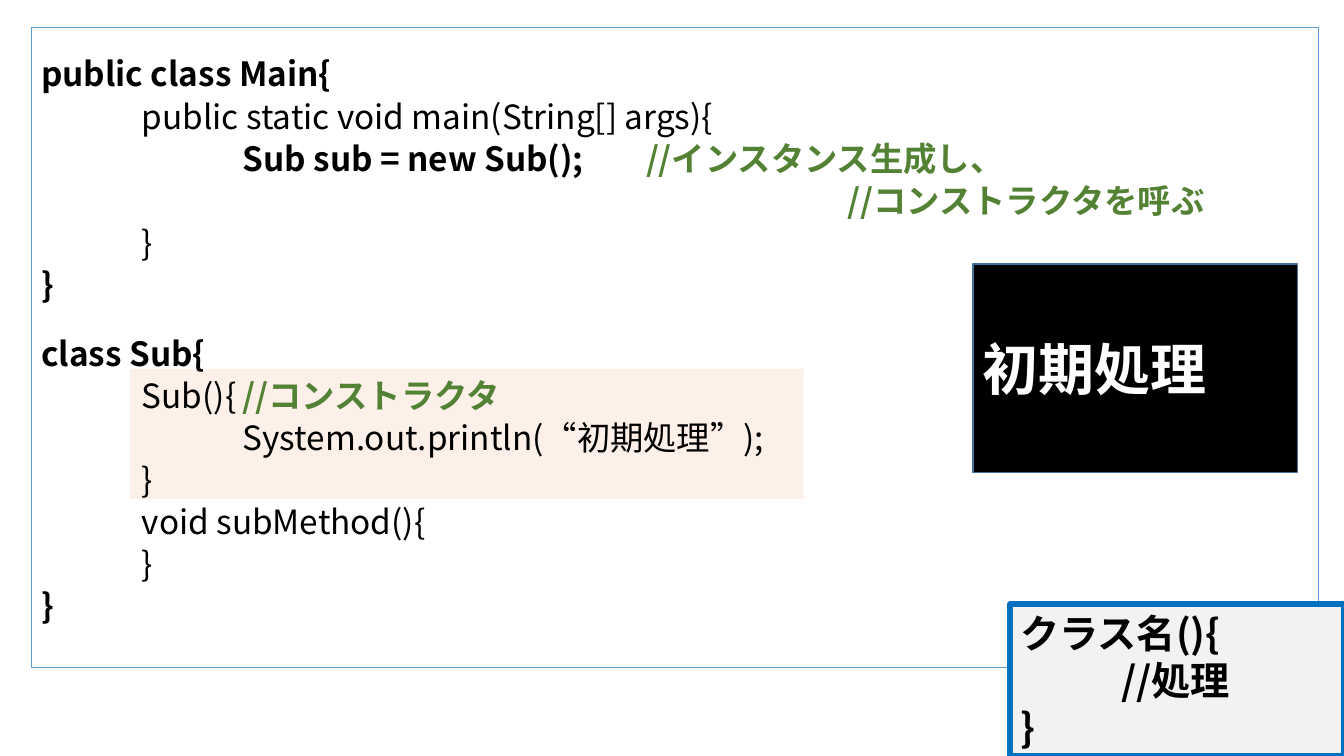
"""Build a slide that explains a Java constructor with sample code and its output."""
from dataclasses import dataclass

from lxml.etree import SubElement
from pptx import Presentation
from pptx.dml.color import RGBColor
from pptx.enum.shapes import MSO_SHAPE
from pptx.enum.text import MSO_ANCHOR, PP_ALIGN
from pptx.oxml.ns import qn
from pptx.slide import Slide
from pptx.util import Inches, Pt

COLORS = {
    "highlight": "FBE5D6",
    "frame": "5B9BD5",
    "code": "000000",
    "comment": "548235",
    "console": "000000",
    "console_edge": "43739E",
    "output": "FFFFFF",
    "syntax": "F2F2F2",
    "syntax_edge": "0070C0",
}


def write(paragraph, text, size, font, color="code", bold=False, east_asian=True):
    """Append formatted text to a paragraph."""
    run = paragraph.add_run()
    run.text = text
    run.font.size = Pt(size)
    run.font.bold = bold
    run.font.name = font
    run.font.color.rgb = RGBColor.from_string(COLORS[color])
    if east_asian:
        SubElement(run.font._element, qn("a:ea"), typeface=font)


@dataclass
class Composer:
    """Hold the style and the current slide."""

    slide: Slide
    font: str = "Noto Sans CJK JP"
    tab_count: int = 8

    def box(self, left, top, width, height, fill=None, alpha=None, edge=None, edge_width=1):
        """Draw a rectangle and return it."""
        area = [Inches(length) for length in (left, top, width, height)]
        panel = self.slide.shapes.add_shape(MSO_SHAPE.RECTANGLE, *area)
        panel.shadow.inherit = False
        if fill:
            panel.fill.solid()
            panel.fill.fore_color.rgb = RGBColor.from_string(COLORS[fill])
        else:
            panel.fill.background()
        if alpha:
            tint = panel.fill._xPr.find(".//" + qn("a:srgbClr"))
            SubElement(tint, qn("a:alpha"), val=str(alpha * 1000))
        if edge:
            panel.line.color.rgb = RGBColor.from_string(COLORS[edge])
            panel.line.width = Pt(edge_width)
        else:
            panel.line.fill.background()
        return panel

    def tabs(self, paragraph):
        """Set a tab stop at every inch."""
        stops = SubElement(paragraph._p.get_or_add_pPr(), qn("a:tabLst"))
        for inch in range(1, self.tab_count + 1):
            SubElement(stops, qn("a:tab"), pos=str(Inches(inch)), algn="l")

    def lines(self, panel, content, size, pitch=None, tall=None, anchor=MSO_ANCHOR.TOP):
        """Fill a box with lines, each a list of (text, format) pieces."""
        frame = panel.text_frame
        frame.word_wrap = True
        frame.vertical_anchor = anchor
        for index, pieces in enumerate(content):
            paragraph = frame.add_paragraph() if index else frame.paragraphs[0]
            paragraph.alignment = PP_ALIGN.LEFT
            spacing = (tall or {}).get(index, pitch)
            if spacing:
                paragraph.line_spacing = Pt(spacing)
            self.tabs(paragraph)
            for text, style in pieces:
                write(paragraph, text, size, self.font, **style)


PLAIN = {}
BOLD = {"bold": True}
QUOTE = {"east_asian": False}
COMMENT = {"bold": True, "color": "comment"}
OUTPUT = {"bold": True, "color": "output"}

SOURCE_CODE = [
    [("public class Main{", BOLD)],
    [("\tpublic static void main(String[] args){", PLAIN)],
    [("\t\tSub sub = new Sub();\t", BOLD), ("//インスタンス生成し、", COMMENT)],
    [("\t" * 8 + "//コンストラクタを呼ぶ", COMMENT)],
    [("\t}", PLAIN)],
    [("}", BOLD)],
    [("class Sub{", BOLD)],
    [("\tSub(){\t", PLAIN), ("//コンストラクタ", COMMENT)],
    [("\t\tSystem.out.println(", PLAIN), ("“", QUOTE), ("初期処理", PLAIN), ("”", QUOTE), (");", PLAIN)],
    [("\t}", PLAIN)],
    [("\tvoid subMethod(){", PLAIN)],
    [("\t}", PLAIN)],
    [("}", BOLD)],
]
SYNTAX = [[(text, BOLD)] for text in ("クラス名(){", "\t//処理", "}")]

deck = Presentation()
deck.slide_width, deck.slide_height = Inches(13.33), Inches(7.5)
composer = Composer(deck.slides.add_slide(deck.slide_layouts[6]))

composer.box(1.29, 3.66, 6.68, 1.29, fill="highlight", alpha=56)
listing = composer.box(0.31, 0.27, 12.77, 6.35, edge="frame", edge_width=0.75)
composer.lines(listing, SOURCE_CODE, 23.8, pitch=30.1, tall={0: 43.9, 6: 48.8})
console = composer.box(9.65, 2.62, 3.22, 2.07, fill="console", edge="console_edge")
composer.lines(console, [[("初期処理", OUTPUT)]], 40, anchor=MSO_ANCHOR.MIDDLE)
syntax = composer.box(10.02, 5.99, 3.31, 1.51, fill="syntax", edge="syntax_edge", edge_width=4)
composer.lines(syntax, SYNTAX, 28, pitch=33.8)

deck.save("out.pptx")
